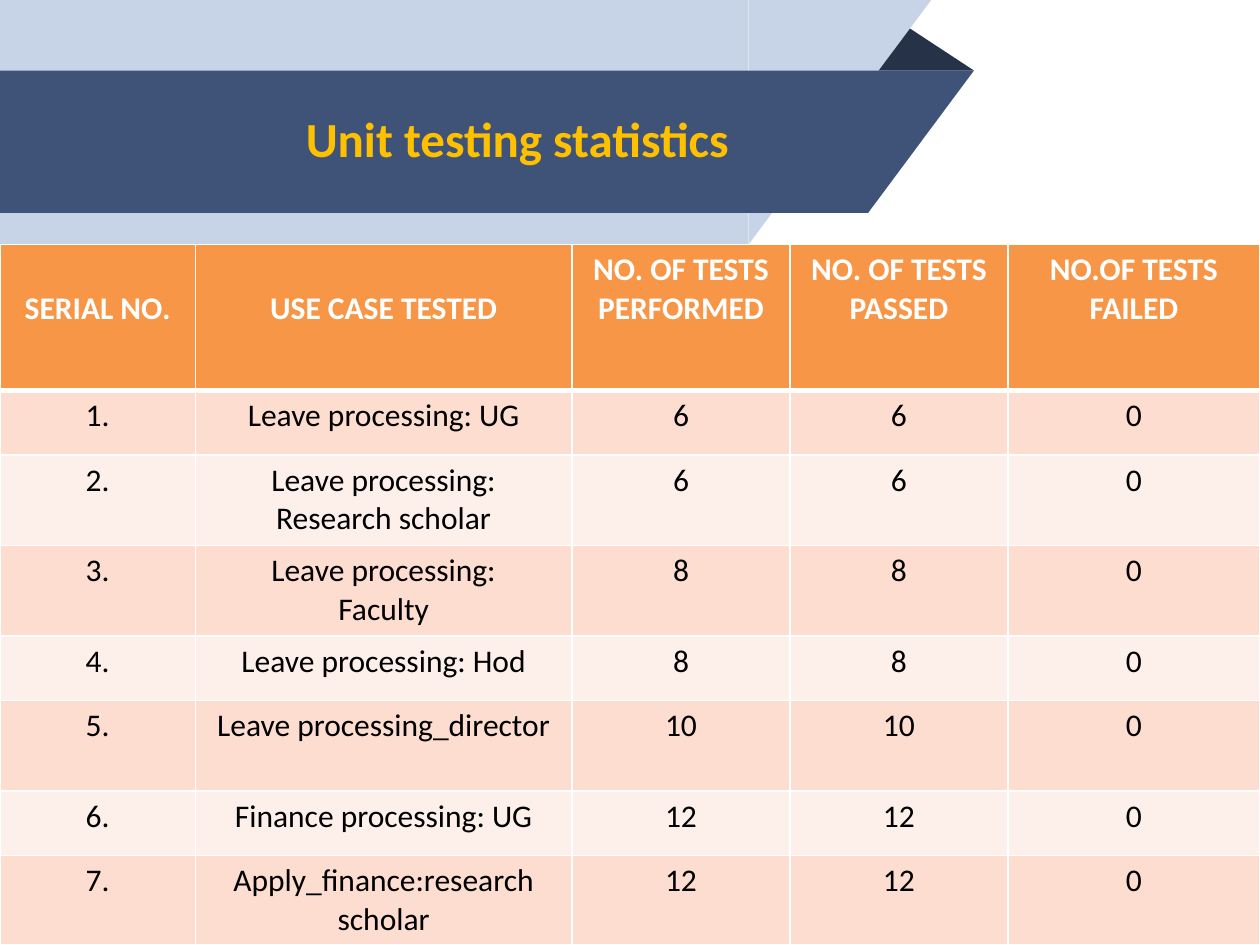
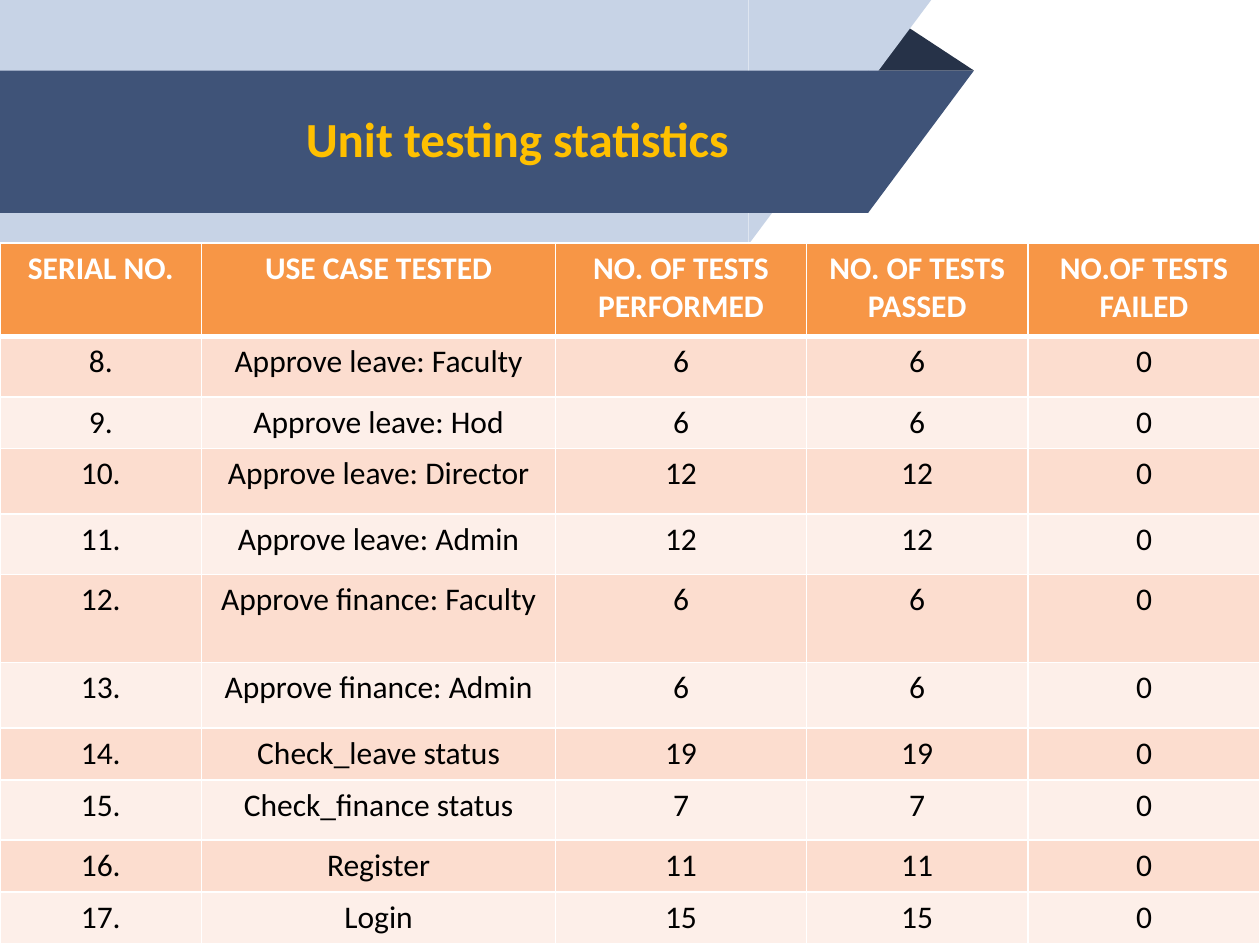
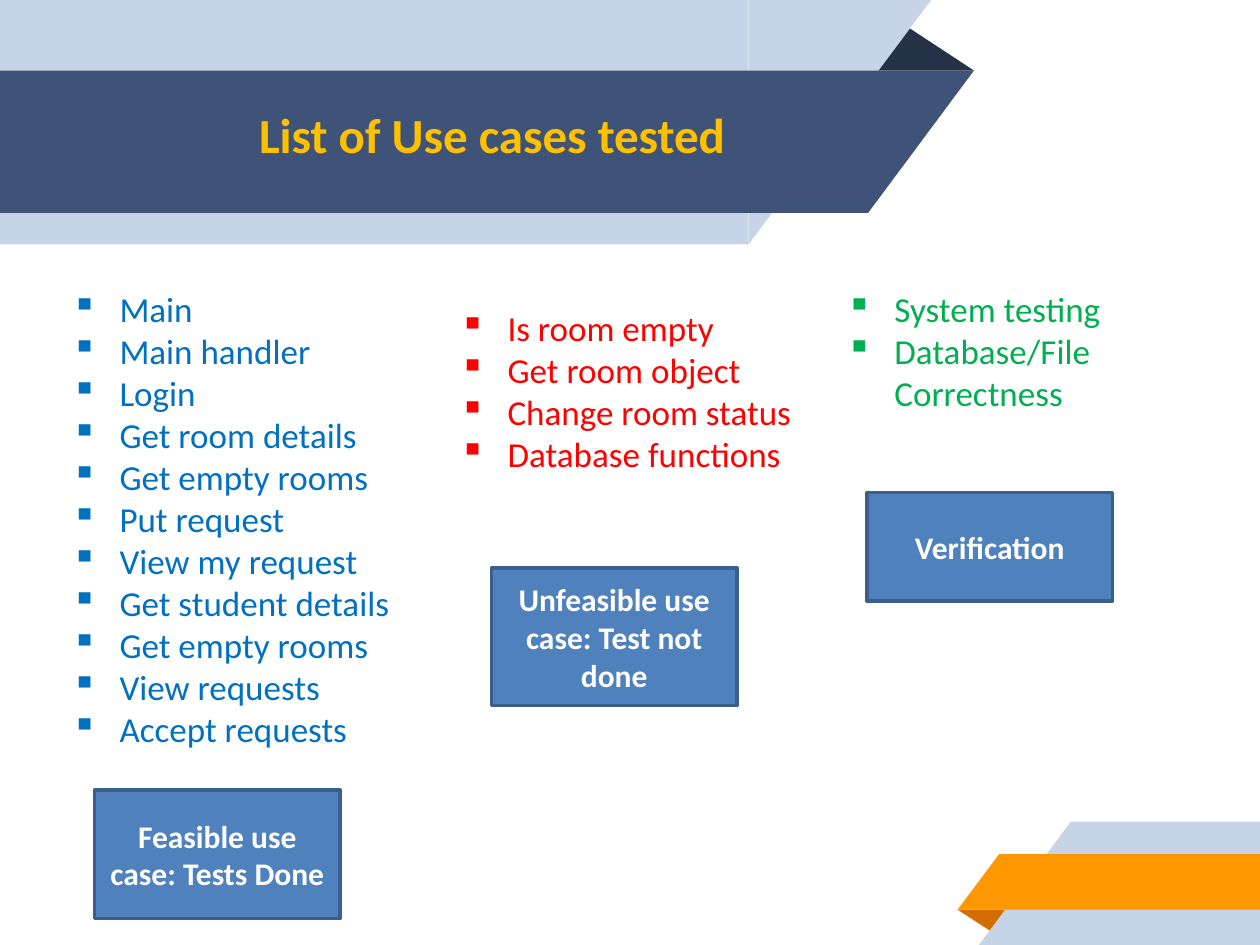
from dataclasses import dataclass

from lxml import etree
from pptx import Presentation
from pptx.dml.color import RGBColor
from pptx.enum.shapes import MSO_SHAPE
from pptx.enum.text import MSO_ANCHOR, PP_ALIGN
from pptx.oxml.ns import qn
from pptx.util import Inches, Pt

RECT = MSO_SHAPE.RECTANGLE
TRIANGLE = MSO_SHAPE.ISOSCELES_TRIANGLE
CORNER = MSO_SHAPE.RIGHT_TRIANGLE
LEFT, CENTER = PP_ALIGN.LEFT, PP_ALIGN.CENTER
TOP, MIDDLE = MSO_ANCHOR.TOP, MSO_ANCHOR.MIDDLE

WHITE = RGBColor(0xFF, 0xFF, 0xFF)
BLACK = RGBColor(0x00, 0x00, 0x00)
PALE_BLUE = RGBColor(0xC7, 0xD3, 0xE6)
SLATE = RGBColor(0x3F, 0x53, 0x78)
NAVY = RGBColor(0x26, 0x32, 0x48)
AMBER = RGBColor(0xFF, 0x98, 0x00)
RUST = RGBColor(0xD2, 0x6F, 0x00)
GOLD = RGBColor(0xFF, 0xC0, 0x00)
HEADER_ORANGE = RGBColor(0xF7, 0x96, 0x46)
ROW_TINTS = (RGBColor(0xFC, 0xDD, 0xCF), RGBColor(0xFD, 0xEF, 0xE9))
BOX_BLUE = RGBColor(0x4F, 0x81, 0xBD)
BOX_EDGE = RGBColor(0x3A, 0x5F, 0x8C)
BLUE = RGBColor(0x00, 0x70, 0xC0)
RED = RGBColor(0xFF, 0x00, 0x00)
GREEN = RGBColor(0x00, 0xB0, 0x50)

FONT = "Calibri"
SLIDE_W, SLIDE_H = Inches(10), Inches(7.5)
COLUMNS, ROWS = 100, 75
INDENT = 3.8
LINE_ROWS = 3.1
CELL_TOP = 0.5


@dataclass(frozen=True)
class Area:
    x: float
    y: float
    w: float
    h: float


@dataclass(frozen=True)
class Piece:
    kind: int
    area: Area
    color: RGBColor


@dataclass(frozen=True)
class UseCase:
    name: str
    tests: int


@dataclass(frozen=True)
class StatTable:
    top: float
    widths: tuple[float, ...]
    heights: tuple[float, ...]
    first_number: int
    lowered_headers: int
    cases: tuple[UseCase, ...]


@dataclass(frozen=True)
class Group:
    items: tuple[str, ...]
    color: RGBColor
    items_area: Area
    label: str
    label_area: Area


HEADER_BAND = (
    Piece(TRIANGLE, Area(68.8, 1.8, 8.5, 3.8), NAVY),
    Piece(RECT, Area(0, 0, 59.4, 19.4), PALE_BLUE),
    Piece(CORNER, Area(59.4, 0, 14.5, 19.4), PALE_BLUE),
    Piece(RECT, Area(0, 5.6, 68.9, 11.3), SLATE),
    Piece(CORNER, Area(68.9, 5.6, 8.4, 11.3), SLATE),
)
FOOTER_BAND = (
    Piece(TRIANGLE, Area(76, 72.2, 4.3, 1.9), RUST),
    Piece(RECT, Area(85, 65.2, 15, 9.8), PALE_BLUE),
    Piece(CORNER, Area(77.7, 65.2, 7.3, 9.8), PALE_BLUE),
    Piece(RECT, Area(79.3, 67.8, 20.7, 4.4), AMBER),
    Piece(CORNER, Area(76, 67.8, 3.3, 4.4), AMBER),
)
STATS_TITLE = Area(-2.3, 5.5, 86.7, 10.9)
LIST_TITLE = Area(9, 5, 60.1, 11.2)

HEADERS = ("SERIAL NO.", "USE CASE TESTED", "NO. OF TESTS PERFORMED",
           "NO. OF TESTS PASSED", "NO.OF TESTS FAILED")
STAT_TABLES = (
    StatTable(19.4, (15.5, 29.9, 17.3, 17.3, 20),
              (11.6, 5.1, 7.2, 7.2, 5.1, 7.2, 5.1, 7.1), 1, 2, (
        UseCase("Leave processing: UG", 6),
        UseCase("Leave processing:\nResearch scholar", 6),
        UseCase("Leave processing:\nFaculty", 8),
        UseCase("Leave processing: Hod", 8),
        UseCase("Leave processing_director", 10),
        UseCase("Finance processing: UG", 12),
        UseCase("Apply_finance:research scholar", 12),
    )),
    StatTable(19.3, (16, 28.1, 19.9, 17.6, 18.4),
              (7.4, 4.8, 4.1, 5.2, 4.8, 7, 5.2, 4.1, 4.8, 4.1, 4.1), 8, 0, (
        UseCase("Approve leave: Faculty", 6),
        UseCase("Approve leave: Hod", 6),
        UseCase("Approve leave: Director", 12),
        UseCase("Approve leave: Admin", 12),
        UseCase("Approve finance: Faculty", 6),
        UseCase("Approve finance: Admin", 6),
        UseCase("Check_leave status", 19),
        UseCase("Check_finance status", 7),
        UseCase("Register", 11),
        UseCase("Login", 15),
    )),
)
GROUPS = (
    Group(("Main", "Main handler", "Login", "Get room details",
           "Get empty rooms", "Put request", "View my request",
           "Get student details", "Get empty rooms", "View requests",
           "Accept requests"),
          BLUE, Area(4.7, 22.3, 35.2, 38),
          "Feasible use case: Tests Done", Area(7.5, 62.7, 19.5, 10.2)),
    Group(("Is room empty", "Get room object", "Change room status",
           "Database functions"),
          RED, Area(35.5, 23.8, 35.9, 14.5),
          "Unfeasible use case: Test not done", Area(39, 45.1, 19.5, 10.9)),
    Group(("System testing", "Database/File Correctness"),
          GREEN, Area(66.2, 22.3, 24.6, 11.1),
          "Verification", Area(68.8, 39.1, 19.5, 8.6)),
)


def col(n: float) -> int:
    return round(SLIDE_W * n / COLUMNS)


def row(n: float) -> int:
    return round(SLIDE_H * n / ROWS)


def place(area: Area) -> tuple[int, int, int, int]:
    return col(area.x), row(area.y), col(area.w), row(area.h)


def add_bullet(p) -> None:
    pPr = p._p.get_or_add_pPr()
    pPr.set("marL", str(col(INDENT)))
    pPr.set("indent", str(-col(INDENT)))
    etree.SubElement(pPr, qn("a:buChar")).set("char", "▪")


def write(tf, text: str, *, size: float = 18, color: RGBColor = BLACK,
          bold: bool = False, align=CENTER, anchor=None,
          bullet: bool = False) -> None:
    tf.word_wrap = True
    if anchor is not None:
        tf.vertical_anchor = anchor
    for i, line in enumerate(text.split("\n")):
        p = tf.paragraphs[0] if i == 0 else tf.add_paragraph()
        p.alignment = align
        if bullet:
            add_bullet(p)
        r = p.add_run()
        r.text = line
        r.font.name = FONT
        r.font.size = Pt(size)
        r.font.bold = bold
        r.font.color.rgb = color


def add_filled(slide, kind: int, area: Area, color: RGBColor):
    sp = slide.shapes.add_shape(kind, *place(area))
    sp.shadow.inherit = False
    sp.fill.solid()
    sp.fill.fore_color.rgb = color
    sp.line.fill.background()
    return sp


def add_band(slide, pieces: tuple[Piece, ...], hanging: bool) -> None:
    for piece in pieces:
        sp = add_filled(slide, piece.kind, piece.area, piece.color)
        if piece.kind == TRIANGLE:
            sp.adjustments[0] = 0.32
            sp.rotation = 0 if hanging else 180
        else:
            sp._element.spPr.xfrm.set("flipH", "1")
            sp.rotation = 180 if hanging else 0


def add_title(slide, text: str, area: Area) -> None:
    tf = slide.shapes.add_textbox(*place(area)).text_frame
    write(tf, text, size=28, color=GOLD, bold=True, anchor=MIDDLE)


def add_borders(cell, top: float, bottom: float) -> None:
    tcPr = cell._tc.get_or_add_tcPr()
    for side, width in (("L", 1), ("R", 1), ("T", top), ("B", bottom)):
        ln = etree.SubElement(tcPr, qn(f"a:ln{side}"), w=str(Pt(width)))
        fill = etree.SubElement(ln, qn("a:solidFill"))
        etree.SubElement(fill, qn("a:srgbClr"), val=str(WHITE))


def add_stats(slide, stats: StatTable) -> None:
    area = Area(0, stats.top, sum(stats.widths), sum(stats.heights))
    table = slide.shapes.add_table(
        len(stats.heights), len(stats.widths), *place(area)).table
    for column, width in zip(table.columns, stats.widths):
        column.width = col(width)
    for line, height in zip(table.rows, stats.heights):
        line.height = row(height)

    records = [HEADERS] + [
        (f"{number}.", case.name, str(case.tests), str(case.tests), "0")
        for number, case in enumerate(stats.cases, stats.first_number)]
    for i, record in enumerate(records):
        header = i == 0
        for j, text in enumerate(record):
            cell = table.cell(i, j)
            add_borders(cell, 3 if i == 1 else 1, 3 if header else 1)
            cell.fill.solid()
            cell.fill.fore_color.rgb = (
                HEADER_ORANGE if header else ROW_TINTS[(i - 1) % 2])
            if header and j < stats.lowered_headers:
                cell.margin_top = row(CELL_TOP + LINE_ROWS)
            write(cell.text_frame, text, bold=header,
                  color=WHITE if header else BLACK)


def add_items(slide, group: Group) -> None:
    tf = slide.shapes.add_textbox(*place(group.items_area)).text_frame
    write(tf, "\n".join(group.items), size=20, color=group.color,
          align=LEFT, anchor=TOP, bullet=True)


def add_label(slide, group: Group) -> None:
    sp = add_filled(slide, RECT, group.label_area, BOX_BLUE)
    sp.line.color.rgb = BOX_EDGE
    sp.line.width = Pt(2)
    write(sp.text_frame, group.label, color=WHITE, bold=True, anchor=MIDDLE)


def add_slide(prs, title: str, title_area: Area):
    slide = prs.slides.add_slide(prs.slide_layouts[6])
    add_band(slide, HEADER_BAND, hanging=True)
    add_title(slide, title, title_area)
    return slide


def main() -> None:
    prs = Presentation()
    prs.slide_width, prs.slide_height = SLIDE_W, SLIDE_H
    for stats in STAT_TABLES:
        add_stats(add_slide(prs, "Unit testing statistics", STATS_TITLE), stats)

    slide = add_slide(prs, "List of Use cases tested", LIST_TITLE)
    add_band(slide, FOOTER_BAND, hanging=False)
    for group in GROUPS:
        add_items(slide, group)
    for group in GROUPS:
        add_label(slide, group)
    prs.save("out.pptx")


if __name__ == "__main__":
    main()
